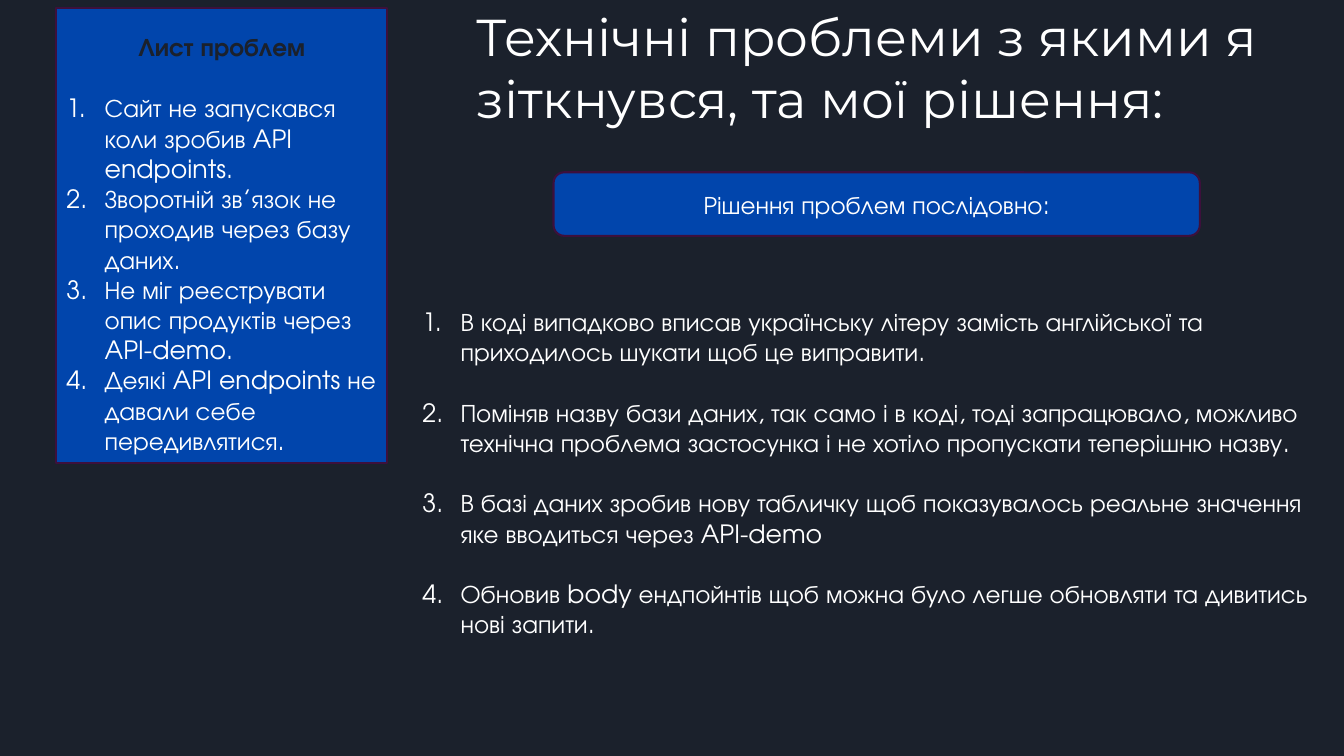
import pptx
import pptx.dml.color
import pptx.enum.shapes
import pptx.enum.text
import pptx.oxml
import pptx.oxml.ns
import pptx.util
from pptx.util import Inches

COLORS = {"page": "1B212C", "panel": "0145AC", "border": "3D103C", "text": "FFFFFF"}
BODY_FONT = "TeX Gyre Adventor"
TITLE = "Технічні проблеми з якими я зіткнувся, та мої рішення:"
PROBLEMS = [
    "Сайт не запускався коли зробив API endpoints.",
    "Зворотній зв’язок не проходив через базу даних.",
    "Не міг реєструвати опис продуктів через API-demo.",
    "Деякі API endpoints не давали себе передивлятися.",
]
SOLUTIONS = [
    "В коді випадково вписав українську літеру замість англійської та "
    "приходилось шукати щоб це виправити.",
    "Поміняв назву бази даних, так само і в коді, тоді запрацювало, можливо "
    "технічна проблема застосунка і не хотіло пропускати теперішню назву.",
    "В базі даних зробив нову табличку щоб показувалось реальне значення "
    "яке вводиться через API-demo",
    "Обновив body ендпойнтів щоб можна було легше обновляти та дивитись нові запити.",
]


def color(name):
    return pptx.dml.color.RGBColor.from_string(COLORS[name])


def style_para(para, size=18, font=BODY_FONT, ink="text", bold=False, centered=False):
    if centered:
        para.alignment = pptx.enum.text.PP_ALIGN.CENTER
    for span in para.runs:
        span.font.size = pptx.util.Pt(size)
        span.font.name = font
        span.font.bold = bold
        span.font.color.rgb = color(ink)


def number_para(para):
    properties = para._p.get_or_add_pPr()
    properties.set("marL", str(Inches(0.38)))
    properties.set("indent", str(-Inches(0.38)))
    namespace = pptx.oxml.ns.nsdecls("a")
    for markup in (
        f'<a:buClr {namespace}><a:srgbClr val="{COLORS["text"]}"/></a:buClr>',
        f'<a:buAutoNum {namespace} type="arabicPeriod"/>',
    ):
        properties.append(pptx.oxml.parse_xml(markup))


def add_text(page, left, top, width, height, text, **style):
    box = page.shapes.add_textbox(Inches(left), Inches(top), Inches(width), Inches(height))
    box.text_frame.word_wrap = True
    box.text_frame.text = text
    for para in box.text_frame.paragraphs:
        style_para(para, **style)
    return box


def add_numbered_list(page, left, top, width, height, items, gap=0):
    box = add_text(page, left, top, width, height, "\n".join(items))
    for index, para in enumerate(box.text_frame.paragraphs):
        number_para(para)
        if index and gap:
            para.space_before = pptx.util.Pt(gap)


def add_panel(page, preset, left, top, width, height):
    panel = page.shapes.add_shape(
        preset, Inches(left), Inches(top), Inches(width), Inches(height)
    )
    panel.shadow.inherit = False
    panel.fill.solid()
    panel.fill.fore_color.rgb = color("panel")
    panel.line.color.rgb = color("border")
    panel.line.width = pptx.util.Pt(1.5)
    return panel


def add_problems(page, left, top, width, height):
    add_panel(page, pptx.enum.shapes.MSO_SHAPE.RECTANGLE, left, top, width, height)
    heading_width = 2.1
    add_text(page, left + (width - heading_width) / 2, top + 0.18, heading_width, 0.4,
             "Лист проблем", ink="page", bold=True, centered=True)
    add_numbered_list(page, left, top + 0.79, width, 3.74, PROBLEMS)


def add_solutions(page, left, top, width, height):
    banner = add_panel(page, pptx.enum.shapes.MSO_SHAPE.ROUNDED_RECTANGLE,
                       left + 1.4, top, 6.41, 0.63)
    banner.text_frame.text = "Рішення проблем послідовно:"
    banner.text_frame.vertical_anchor = pptx.enum.text.MSO_ANCHOR.MIDDLE
    style_para(banner.text_frame.paragraphs[0], centered=True)
    add_numbered_list(page, left, top + 1.28, width, height - 1.28, SOLUTIONS, gap=21.6)


def main():
    deck = pptx.Presentation()
    deck.slide_width = Inches(13.33)
    deck.slide_height = Inches(7.5)
    page = deck.slides.add_slide(deck.slide_layouts[6])
    page.background.fill.solid()
    page.background.fill.fore_color.rgb = color("page")
    add_text(page, 4.63, 0, 8.7, 1.53, TITLE, size=37, font="Montserrat")
    add_problems(page, 0.56, 0.08, 3.28, 4.51)
    add_solutions(page, 4.09, 1.71, 9.02, 5.02)
    deck.save("out.pptx")


if __name__ == "__main__":
    main()
